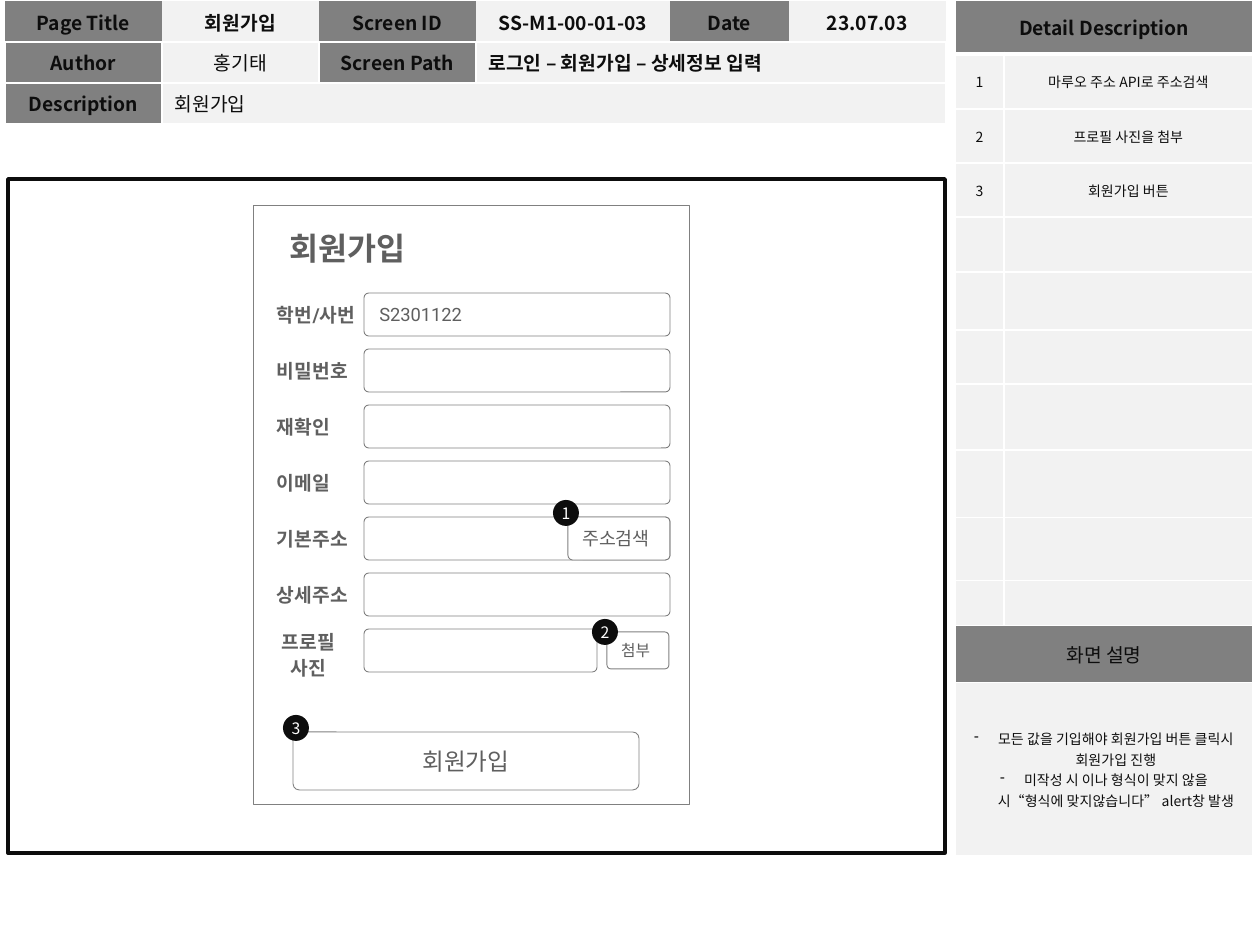
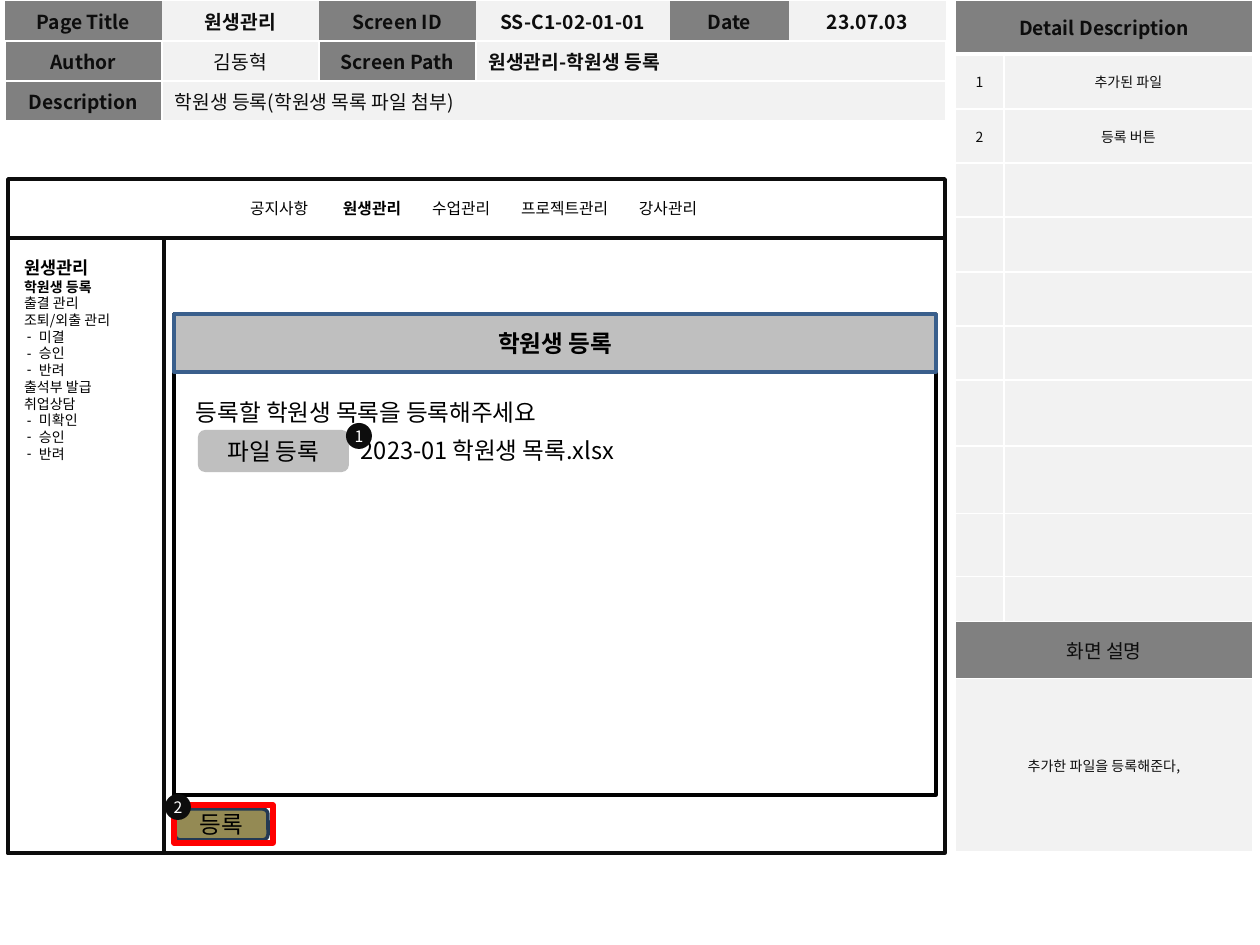
"""Builds two screen-design pages: a sign-up form and a student registration screen."""
from lxml import etree
from pptx import Presentation
from pptx import util as u
from pptx.dml.color import RGBColor
from pptx.enum import shapes, text
from pptx.oxml.ns import qn

SCALE = 914400 / 126
INK = RGBColor(0x0D, 0x0D, 0x0D)
BLACK = RGBColor(0x00, 0x00, 0x00)
WHITE = RGBColor(0xFF, 0xFF, 0xFF)
GRAY = RGBColor(0x80, 0x80, 0x80)
PALE = RGBColor(0xF2, 0xF2, 0xF2)
SILVER = RGBColor(0xBF, 0xBF, 0xBF)
FORM_INK = RGBColor(0x5F, 0x5F, 0x5F)
BLUE = RGBColor(0x3A, 0x5F, 0x8C)
NAVY = RGBColor(0x23, 0x39, 0x53)
OLIVE = RGBColor(0x94, 0x8A, 0x54)
RED = RGBColor(0xFF, 0x00, 0x00)
KOREAN, LATIN = "Noto Sans CJK KR", "Roboto"
LEFT, CENTER = text.PP_ALIGN.LEFT, text.PP_ALIGN.CENTER
MIDDLE, TOP = text.MSO_ANCHOR.MIDDLE, text.MSO_ANCHOR.TOP
RECT, ROUND, OVAL = (shapes.MSO_SHAPE.RECTANGLE, shapes.MSO_SHAPE.ROUNDED_RECTANGLE,
                     shapes.MSO_SHAPE.OVAL)

HEADER_COLUMNS = [157, 157, 157, 194, 119, 157]
DETAIL_COLUMNS = [49, 249]
DETAIL_ROWS = [54, 55, 54, 54, 55, 54, 54, 66, 68, 63, 45, 57, 173]

SIGN_UP = dict(
    title="회원가입", screen="SS-M1-00-01-03", date="23.07.03", author="홍기태",
    route="로그인 – 회원가입 – 상세정보 입력", summary="회원가입",
    header_row=41, growth=4,
    details=["마루오 주소 API로 주소검색", "프로필 사진을 첨부", "회원가입 버튼"],
    notes=["모든 값을 기입해야 회원가입 버튼 클릭시 회원가입 진행",
           "미작성 시 이나 형식이 맞지 않을 시“형식에 맞지않습니다” alert창 발생"],
    badges=[(553, 500), (592, 619), (283, 715)])
REGISTER = dict(
    title="원생관리", screen="SS-C1-02-01-01", date="23.07.03", author="김동혁",
    route="원생관리-학원생 등록", summary="학원생 등록(학원생 목록 파일 첨부)",
    header_row=40, growth=0,
    details=["추가된 파일", "등록 버튼"],
    notes=["추가한 파일을 등록해준다,"],
    badges=[(346, 423), (165, 794)])

FIELDS = [("학번/사번", "S2301122", 306), ("비밀번호", "", 306), ("재확인", "", 306),
          ("이메일", "", 306), ("기본주소", "", 306), ("상세주소", "", 306),
          (["프로필", "사진"], "", 233)]
FIELD_TOP, FIELD_STEP, FIELD_HEIGHT = 293, 56, 43

NAVIGATION = [("공지사항", 250), ("원생관리", 343), ("수업관리", 432),
              ("프로젝트관리", 521), ("강사관리", 639)]
SUB_ITEM = dict(bullet="-", indent=15, hang=12)
MENU = [("원생관리", dict(size=10, bold=True, spacing=11.5)),
        ("학원생 등록", dict(bold=True)), "출결 관리", "조퇴/외출 관리",
        ("미결", SUB_ITEM), ("승인", SUB_ITEM), ("반려", SUB_ITEM),
        "출석부 발급", "취업상담",
        ("미확인", SUB_ITEM), ("승인", SUB_ITEM), ("반려", SUB_ITEM)]


def px(length):
    return u.Emu(round(length * SCALE))


def format_paragraph(para, words, size=11, color=INK, bold=False, font=KOREAN, align=LEFT,
                     bullet=None, indent=0, hang=0, spacing=None, after=0):
    para.alignment = align
    para.space_before = u.Pt(0)
    para.space_after = u.Pt(after)
    if spacing:
        para.line_spacing = u.Pt(spacing)
    properties = para._p.get_or_add_pPr()
    properties.set("marL", str(px(indent)))
    properties.set("indent", str(px(-hang)))
    if bullet:
        etree.SubElement(properties, qn("a:buChar")).set("char", bullet)
    else:
        etree.SubElement(properties, qn("a:buNone"))
    span = para.add_run()
    span.text = words
    span.font.size = u.Pt(size)
    span.font.bold = bold
    span.font.color.rgb = color
    span.font.name = font
    etree.SubElement(span._r.get_or_add_rPr(), qn("a:ea")).set("typeface", KOREAN)


def write(frame, content, **style):
    lines = content if isinstance(content, list) else [content]
    for number, line in enumerate(lines):
        words, changes = line if isinstance(line, tuple) else (line, {})
        para = frame.add_paragraph() if number else frame.paragraphs[0]
        format_paragraph(para, words, **{**style, **changes})


def fill_box(box, content, anchor=MIDDLE, inset=0, wrap=True, **style):
    frame = box.text_frame
    frame.auto_size = text.MSO_AUTO_SIZE.NONE
    frame.word_wrap = wrap
    frame.vertical_anchor = anchor
    frame.margin_left = frame.margin_right = px(inset)
    frame.margin_top = frame.margin_bottom = 0
    write(frame, content, **style)


def paint(box, fill=None, line=None, width=2):
    if fill is None:
        box.fill.background()
    else:
        box.fill.solid()
        box.fill.fore_color.rgb = fill
    if line is None:
        box.line.fill.background()
    else:
        box.line.color.rgb = line
        box.line.width = u.Pt(width)


def add_box(page, kind, place, content=None, fill=None, line=None, width=2, radius=0.11, **style):
    box = page.shapes.add_shape(kind, *map(px, place))
    box.shadow.inherit = False
    if kind == ROUND:
        box.adjustments[0] = radius
    paint(box, fill, line, width)
    if content:
        fill_box(box, content, **style)
    return box


def add_label(page, place, content, **style):
    fill_box(page.shapes.add_textbox(*map(px, place)), content, **style)


def place_placeholder(page, box, place, content, **style):
    box.left, box.top, box.width, box.height = map(px, place)
    fill_box(box, content, **style)
    page.shapes._spTree.append(box._element)


def add_grid(page, left, top, columns, rows):
    frame = page.shapes.add_table(len(rows), len(columns), px(left), px(top),
                                  px(sum(columns)), px(sum(rows)))
    grid = frame.table
    grid.first_row = grid.horz_banding = False
    for column, width in zip(grid.columns, columns):
        column.width = px(width)
    for row, height in zip(grid.rows, rows):
        row.height = px(height)
    return grid


def set_cell(cell, content="", fill=PALE, borders=None, **style):
    cell.margin_top = cell.margin_bottom = 0
    cell.vertical_anchor = MIDDLE
    properties = cell._tc.get_or_add_tcPr()
    for side in "LRTB":
        width = (borders or {}).get(side, 1 if borders is None else 0)
        edge = etree.SubElement(properties, qn(f"a:ln{side}"), w=str(u.Pt(width)))
        if width:
            solid = etree.SubElement(edge, qn("a:solidFill"))
            etree.SubElement(solid, qn("a:srgbClr"), val=str(WHITE))
        else:
            etree.SubElement(edge, qn("a:noFill"))
    cell.fill.solid()
    cell.fill.fore_color.rgb = fill
    if content:
        write(cell.text_frame, content, **{"align": CENTER, **style})


def add_header(page, info):
    rows = [
        [("Page Title", info["title"]), ("Screen ID", info["screen"]), ("Date", info["date"])],
        [("Author", info["author"]), ("Screen Path", info["route"])],
        [("Description", info["summary"])]]
    grid = add_grid(page, 5, 1, HEADER_COLUMNS, [info["header_row"]] * len(rows))
    plain = (info["author"], info["summary"])
    for number, pairs in enumerate(rows):
        borders = None if number else {"B": 1}
        last = 2 * len(pairs) - 1
        if number:
            grid.cell(number, last).merge(grid.cell(number, len(HEADER_COLUMNS) - 1))
        for index, (name, value) in enumerate(pairs):
            set_cell(grid.cell(number, 2 * index), name, GRAY, borders, bold=True)
            wide = number and 2 * index + 1 == last
            set_cell(grid.cell(number, 2 * index + 1), value, PALE, borders,
                     bold=number == 0 or value not in plain, align=LEFT if wide else CENTER)


def add_details(page, info):
    heights = list(DETAIL_ROWS)
    heights[5] += info["growth"]
    grid = add_grid(page, 955, 0, DETAIL_COLUMNS, heights)
    caption, notes = len(heights) - 2, len(heights) - 1
    for number in (0, caption, notes):
        grid.cell(number, 0).merge(grid.cell(number, 1))
    set_cell(grid.cell(0, 0), "Detail Description", GRAY,
             {"L": 1, "R": 1, "T": 1, "B": 3}, bold=True)
    for number in range(1, caption):
        known = number <= len(info["details"])
        set_cell(grid.cell(number, 0), str(number) if known else "", size=8)
        set_cell(grid.cell(number, 1), info["details"][number - 1] if known else "", size=8)
    set_cell(grid.cell(caption, 0), "화면 설명", GRAY)
    listed = dict(bullet="-", indent=24, hang=24) if len(info["notes"]) > 1 else {}
    set_cell(grid.cell(notes, 0), info["notes"], size=8, **listed)


def add_badges(page, info):
    for number, (left, top) in enumerate(info["badges"], 1):
        add_box(page, OVAL, (left, top, 26, 26), str(number), fill=INK,
                size=9, color=WHITE, align=CENTER, wrap=False)


def add_sign_up(deck):
    page = deck.slides.add_slide(deck.slide_layouts[5])
    add_header(page, SIGN_UP)
    add_details(page, SIGN_UP)
    add_box(page, RECT, (8, 179, 937, 674), line=INK)
    add_box(page, RECT, (253, 205, 437, 599), line=GRAY, width=0.5)
    form = dict(color=FORM_INK, font=LATIN)
    control = dict(fill=WHITE, line=GRAY, width=0.5, **form)
    place_placeholder(page, page.shapes.title, (277, 223, 390, 50), "회원가입",
                      inset=13, size=18, bold=True, **form)
    for index, (name, value, width) in enumerate(FIELDS):
        top = FIELD_TOP + FIELD_STEP * index
        add_box(page, ROUND, (364, top, width, FIELD_HEIGHT), value, inset=14, size=10.5, **control)
        stacked = isinstance(name, list)
        add_label(page, (277, top - 6 if stacked else top, 63 if stacked else 88,
                         64 if stacked else FIELD_HEIGHT), name, wrap=False, bold=True,
                  align=CENTER if stacked else LEFT, after=2 if stacked else 0, **form)
    add_box(page, ROUND, (568, 517, 102, FIELD_HEIGHT), "주소검색", inset=13, wrap=False,
            size=10.5, **control)
    add_box(page, ROUND, (607, 632, 62, 37), "첨부", inset=13, size=9, **control)
    add_box(page, ROUND, (293, 732, 346, 58), "회원가입", size=13.5, align=CENTER, **control)
    add_badges(page, SIGN_UP)


def add_register(deck):
    page = deck.slides.add_slide(deck.slide_layouts[1])
    title, menu = page.shapes.title, page.placeholders[1]
    label = dict(size=13.5, color=BLACK)
    centered = dict(align=CENTER, **label)
    add_box(page, RECT, (174, 314, 762, 481), line=BLACK)
    place_placeholder(page, title, (174, 314, 762, 58), "학원생 등록", bold=True, **centered)
    paint(title, SILVER, BLUE)
    add_label(page, (184, 392, 406, 40), "등록할 학원생 목록을 등록해주세요", inset=12, **label)
    add_box(page, ROUND, (198, 430, 151, 42), "파일 등록", fill=SILVER, radius=0.17, **centered)
    add_box(page, ROUND, (175, 809, 93, 31), "등록", fill=OLIVE, line=NAVY, radius=0.17, **centered)
    add_box(page, RECT, (174, 805, 99, 38), line=RED, width=3)
    add_label(page, (349, 430, 291, 40), "2023-01 학원생 목록.xlsx", inset=12, **label)
    for name, left in NAVIGATION:
        add_label(page, (left, 192, 95, 32), name, wrap=False, size=9, color=BLACK,
                  bold=name == REGISTER["title"])
    add_header(page, REGISTER)
    add_details(page, REGISTER)
    for place in [(8, 238, 937, 615), (8, 179, 937, 59), (8, 238, 156, 615)]:
        add_box(page, RECT, place, line=INK)
    add_badges(page, REGISTER)
    place_placeholder(page, menu, (11, 258, 150, 237), MENU, anchor=TOP, inset=13,
                      size=8, color=BLACK, spacing=9.55)


def main():
    deck = Presentation()
    deck.slide_width, deck.slide_height = px(1260), px(945)
    add_sign_up(deck)
    add_register(deck)
    deck.save("out.pptx")


if __name__ == "__main__":
    main()
